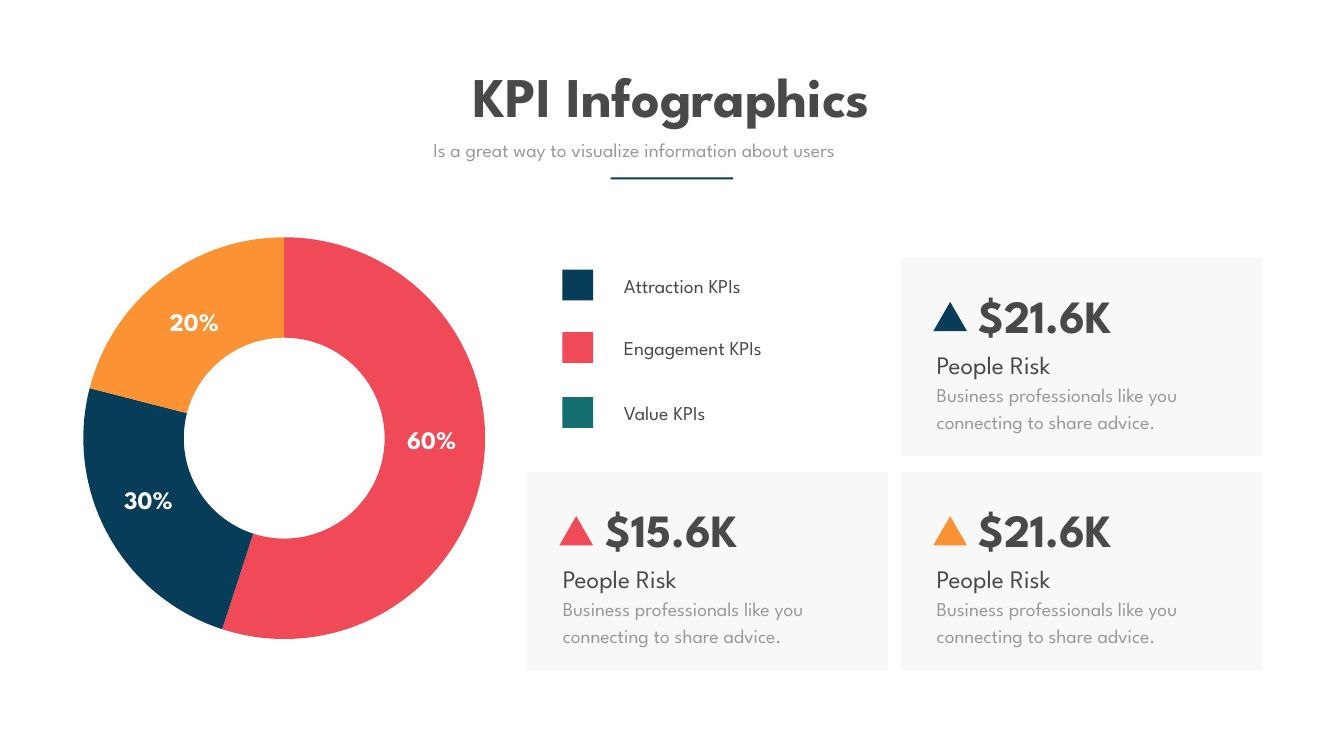
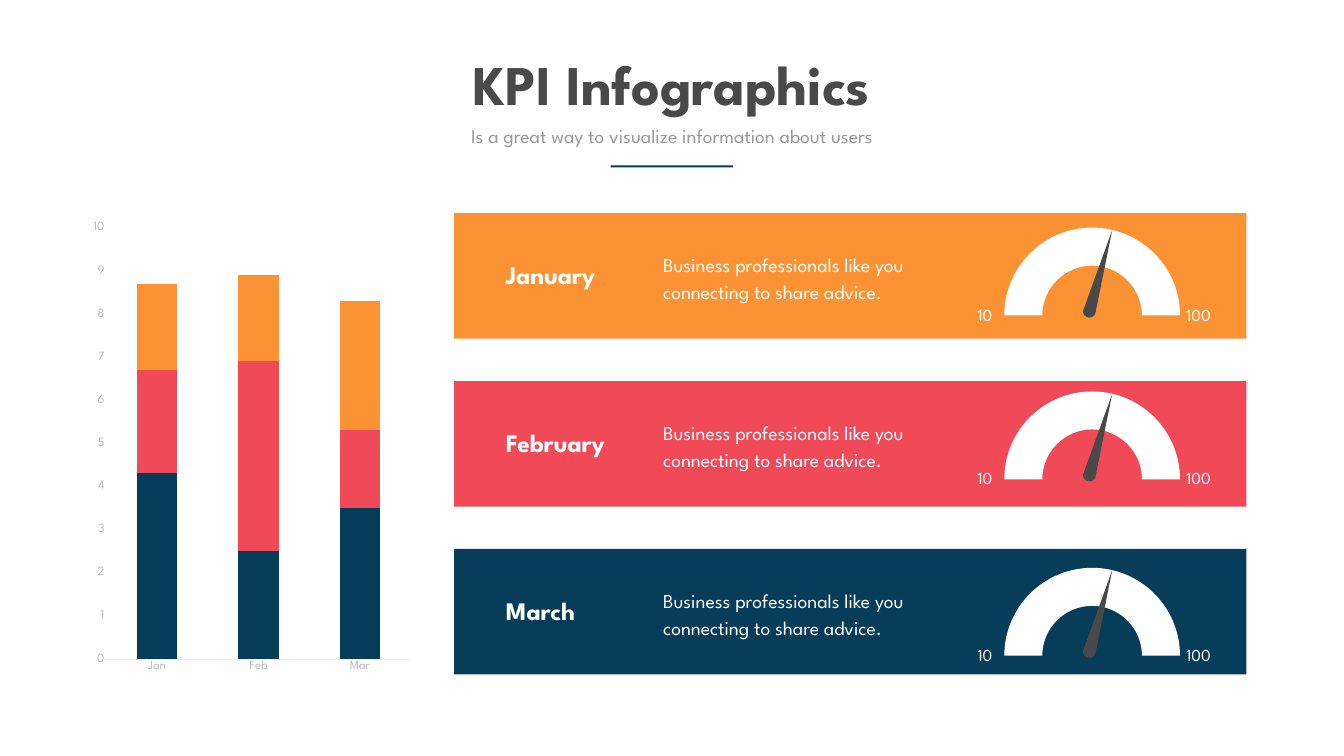
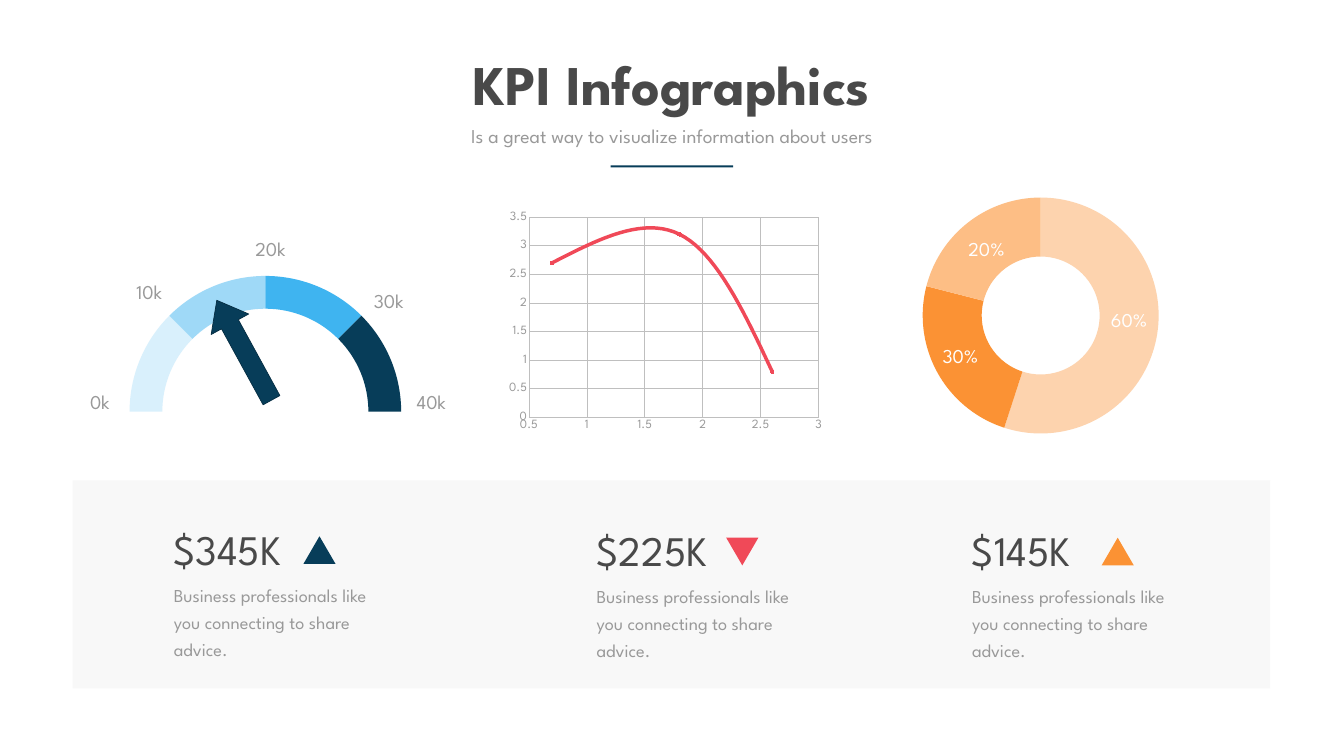
from dataclasses import dataclass
from itertools import chain
from math import ceil, cos, radians, sin, tan
from typing import NamedTuple, Optional

from lxml.etree import SubElement
from pptx import Presentation
from pptx.chart.data import CategoryChartData, XyChartData
from pptx.dml.color import RGBColor
from pptx.enum.chart import XL_CHART_TYPE as Chart, XL_MARKER_STYLE as Marker, XL_TICK_MARK as Tick
from pptx.enum.shapes import MSO_SHAPE as Shape
from pptx.enum.text import MSO_AUTO_SIZE as AutoSize, PP_ALIGN as Align
from pptx.oxml import parse_xml
from pptx.oxml.ns import nsdecls, qn
from pptx.util import Pt

FONT = "League Spartan"
NAVY, RED, ORANGE, TEAL = "073D59", "F04958", "FB9234", "156E70"
DARK, GREY, PALE, WHITE = "494949", "999999", "F2F2F2", "FFFFFF"
AXIS_GREY, GRID_GREY = "BDBDBD", "BFBFBF"
LEADING = 38.6
ADVICE = "Business professionals like you connecting to share advice."
Curve = list[tuple[float, float]]


class Box(NamedTuple):
    x: float
    y: float
    w: float
    h: float


class Style(NamedTuple):
    size: float
    color: str
    bold: bool = False
    align: Align = Align.LEFT
    leading: Optional[float] = None


TITLE = Style(80, DARK, True, Align.CENTER)
SUBTITLE = Style(28, GREY, align=Align.CENTER)
LEGEND = Style(28, DARK, leading=LEADING)
CARD_VALUE = Style(66, DARK, True, Align.CENTER)
CARD_NAME = Style(36, DARK, leading=LEADING)
CARD_BODY = Style(28, GREY, leading=LEADING)
BOLD_SHARE = Style(36, WHITE, True, Align.CENTER)
SHARE = Style(28, WHITE, align=Align.CENTER)
MONTH = Style(36, WHITE, True)
BAND_BODY = Style(28, WHITE, leading=LEADING)
GAUGE_MIN = Style(24, WHITE, align=Align.RIGHT, leading=40.8)
GAUGE_MAX = Style(24, WHITE, leading=40.8)
DIAL_LABEL = Style(28, GREY)
STAT_VALUE = Style(60, DARK)
STAT_BODY = Style(26, GREY, leading=LEADING)


@dataclass
class Card:
    x: float
    y: float
    value: str
    color: str


@dataclass
class Band:
    month: str
    color: str
    gauge_top: float


@dataclass
class Stat:
    x: float
    y: float
    value: str
    color: str
    turn: float = 0


def rgb(color: str) -> RGBColor:
    return RGBColor.from_string(color)


def paint(item, color: str) -> None:
    item.fill.solid()
    item.fill.fore_color.rgb = rgb(color)


def finish(shape, color: str):
    shape.shadow.inherit = False
    paint(shape, color)
    shape.line.fill.background()
    return shape


def add_block(slide, box: Box, color: str, preset=Shape.RECTANGLE):
    return finish(slide.shapes.add_shape(preset, *map(Pt, box)), color)


def add_panel(slide, box: Box) -> None:
    panel = add_block(slide, box, PALE)
    tint = next(panel.element.iter(qn("a:srgbClr")))
    SubElement(tint, qn("a:alpha")).set("val", "50000")


def add_text(slide, box: Box, *lines: tuple[str, Style], wrap: bool = True) -> None:
    frame = slide.shapes.add_textbox(*map(Pt, box)).text_frame
    frame.word_wrap = wrap
    frame.auto_size = AutoSize.SHAPE_TO_FIT_TEXT
    for index, (words, style) in enumerate(lines):
        paragraph = frame.add_paragraph() if index else frame.paragraphs[0]
        paragraph.alignment = style.align
        if style.leading:
            paragraph.line_spacing = Pt(style.leading)
        run = paragraph.add_run()
        run.text = words
        run.font.name = FONT
        run.font.size = Pt(style.size)
        run.font.bold = style.bold
        run.font.color.rgb = rgb(style.color)


def arc(cx: float, cy: float, radius: float, start: float, end: float) -> Curve:
    pieces = ceil(abs(end - start) / 90)
    step = radians(end - start) / pieces
    pull = 4 / 3 * tan(step / 4)

    def at(angle: float, lean: float) -> tuple[float, float]:
        return (cx + radius * (cos(angle) - lean * sin(angle)),
                cy + radius * (sin(angle) + lean * cos(angle)))

    curve = [at(radians(start), 0)]
    for piece in range(pieces):
        begin = radians(start) + piece * step
        curve += [at(begin, pull), at(begin + step, -pull), at(begin + step, 0)]
    return curve


def add_outline(slide, curves: list[Curve], color: str) -> None:
    first, *rest = [(Pt(x), Pt(y)) for x, y in chain(*curves)]
    builder = slide.shapes.build_freeform(*first)
    builder.add_line_segments(rest, close=True)
    outline = finish(builder.convert_to_shape(), color)
    contour = next(outline.element.iter(qn("a:path")))
    knots = iter(list(contour))
    for curve in curves:
        next(knots)
        for _ in range(len(curve) // 3):
            bend, handle, goal = next(knots), next(knots), next(knots)
            bend.tag = qn("a:cubicBezTo")
            bend.extend([handle[0], goal[0]])
            contour.remove(handle)
            contour.remove(goal)


def add_sector(slide, cx: float, cy: float, outer: float, inner: float,
               start: float, end: float, color: str) -> None:
    add_outline(slide, [arc(cx, cy, outer, start, end), arc(cx, cy, inner, end, start)], color)


def add_chart(slide, kind, box: Box, data, plot_box: Box, size: float, font: str = FONT):
    chart = slide.shapes.add_chart(kind, *map(Pt, box), data).chart
    chart.has_legend = False
    chart.has_title = False
    chart.font.name = font
    chart.font.size = Pt(size)
    chart.font.color.rgb = rgb(GREY)
    plot_area = chart.element.find(qn("c:chart")).find(qn("c:plotArea"))
    for layout in plot_area.findall(qn("c:layout")):
        plot_area.remove(layout)
    places = "".join(f'<c:{key} val="{value:.4f}"/>' for key, value in zip("xywh", plot_box))
    plot_area.insert(0, parse_xml(
        f'<c:layout {nsdecls("c")}><c:manualLayout><c:layoutTarget val="inner"/>'
        f'<c:xMode val="edge"/><c:yMode val="edge"/>{places}</c:manualLayout></c:layout>'))
    return chart


def style_axis(axis, color: str, line: Optional[str], grid: Optional[str] = None) -> None:
    axis.major_tick_mark = axis.minor_tick_mark = Tick.NONE
    font = axis.tick_labels.font
    font.name = FONT
    font.size = Pt(18)
    font.color.rgb = rgb(color)
    axis.has_major_gridlines = grid is not None
    lines = [(axis.format.line, line)]
    if grid:
        lines.append((axis.major_gridlines.format.line, grid))
    for stroke, shade in lines:
        if shade:
            stroke.color.rgb = rgb(shade)
            stroke.width = Pt(0.75)
        else:
            stroke.fill.background()


def set_scale(axis, low: float, high: float, step: float) -> None:
    axis.minimum_scale, axis.maximum_scale, axis.major_unit = low, high, step


def add_donut(slide, box: Box, colors: list[str], labels: list[tuple[str, Box]], style: Style) -> None:
    data = CategoryChartData()
    data.categories = ["1", "2", "3"]
    data.add_series("Series 1", [55, 24, 21])
    ring = box.h - 20
    plot_box = Box((box.w - ring) / 2 / box.w, 10 / box.h, ring / box.w, ring / box.h)
    chart = add_chart(slide, Chart.DOUGHNUT, box, data, plot_box, 10, "Calibri")
    plot = chart.plots[0]
    plot.vary_by_categories = True
    for index, color in enumerate(colors):
        look = plot.series[0].points[index].format
        paint(look, color)
        look.line.fill.background()
    for share, place in labels:
        add_text(slide, place, (share, style))


def add_header(slide, title_y: float, subtitle: tuple[float, float], rule_y: float) -> None:
    add_text(slide, Box(638.8, title_y, 641.5, 104.4), ("KPI Infographics", TITLE), wrap=False)
    add_text(slide, Box(*subtitle, 688.3, 41),
             ("Is a great way to visualize information about users", SUBTITLE))
    add_block(slide, Box(872.5, rule_y, 175, 2.9), NAVY)


def add_card(slide, card: Card) -> None:
    x, y = card.x, card.y
    add_panel(slide, Box(x, y, 517, 283.7))
    add_text(slide, Box(x + 95.4, y + 38.5, 224, 87), (card.value, CARD_VALUE), wrap=False)
    add_block(slide, Box(x + 46.8, y + 63.4, 48.2, 41.8), card.color, Shape.ISOSCELES_TRIANGLE)
    add_text(slide, Box(x + 44.6, y + 132, 429, 121.7),
             ("People Risk", CARD_NAME), (ADVICE, CARD_BODY))


def add_gauge(slide, top: float) -> None:
    cx, base = 1560.2, top + 125.3
    add_sector(slide, cx, base, 125.5, 71.2, 180, 360, WHITE)
    add_outline(slide, [[(1589, top + 2.9)], arc(1556.3, top + 119.1, 9.2, 0, 180)], DARK)
    add_text(slide, Box(1378.8, top + 93.8, 46, 44), ("10", GAUGE_MIN))
    add_text(slide, Box(1687.7, top + 93.8, 59, 44), ("100", GAUGE_MAX))


def add_band(slide, y: float, band: Band) -> None:
    add_block(slide, Box(648.7, y, 1131.8, 179.3), band.color)
    add_text(slide, Box(715.7, y + 63, 191.5, 51), (band.month, MONTH))
    add_text(slide, Box(940.3, y + 48.4, 438.5, 82.8), (ADVICE, BAND_BODY))


def add_stat(slide, stat: Stat) -> None:
    x, y = stat.x, stat.y
    add_text(slide, Box(x, y, 275.8, 80), (stat.value, STAT_VALUE))
    triangle = add_block(slide, Box(x + 192.2, y + 22.3, 46, 39.6), stat.color,
                         Shape.ISOSCELES_TRIANGLE)
    triangle.rotation = stat.turn
    add_text(slide, Box(x, y + 79.7, 294.5, 121.7), (ADVICE, STAT_BODY))


def add_dial(slide) -> None:
    for index, color in enumerate(["D9F0FC", "9FD9F7", "3FB4F0", NAVY]):
        start = 180 + 45 * index
        add_sector(slide, 379.1, 588.2, 194, 147.2, start, start + 45, color)
    arrow = add_block(slide, Box(318.2, 419, 61.2, 162.7), NAVY, Shape.UP_ARROW)
    arrow.adjustments[0], arrow.adjustments[1] = 0.447, 0.638
    arrow.rotation = 331.3
    arrow.line.color.rgb = rgb("052D42")
    arrow.line.width = Pt(1)
    marks = [("10k", 187.9, 396.7), ("20k", 341.3, 334.8), ("30k", 527, 409),
             ("40k", 588.2, 553), ("0k", 121.7, 553)]
    for mark, x, y in marks:
        add_text(slide, Box(x, y, 90, 41), (mark, SUBTITLE if mark == "20k" else DIAL_LABEL))


def add_month_chart(slide) -> None:
    data = CategoryChartData()
    data.categories = ["Jan", "Feb", "Mar"]
    rows = [([4.3, 2.5, 3.5], NAVY), ([2.4, 4.4, 1.8], RED), ([2, 2, 3], ORANGE)]
    for number, (values, _) in enumerate(rows, 1):
        data.add_series(f"Series {number}", values)
    chart = add_chart(slide, Chart.COLUMN_STACKED, Box(123.8, 304.6, 472.3, 669.6), data,
                      Box(0.06, 0.031, 0.92, 0.92), 28)
    plot = chart.plots[0]
    plot.vary_by_categories = False
    plot.gap_width, plot.overlap = 150, 100
    for series, (_, color) in zip(plot.series, rows):
        paint(series.format, color)
    style_axis(chart.category_axis, AXIS_GREY, "F0F0F0")
    style_axis(chart.value_axis, AXIS_GREY, None)
    set_scale(chart.value_axis, 0, 10, 1)


def add_curve_chart(slide) -> None:
    data = XyChartData()
    trend = data.add_series("Series 1")
    for x, y in [(0.7, 2.7), (1.8, 3.2), (2.6, 0.8)]:
        trend.add_data_point(x, y)
    chart = add_chart(slide, Chart.XY_SCATTER_SMOOTH, Box(727.2, 294.5, 463, 341.3), data,
                      Box(0.061, 0.046, 0.894, 0.838), 18)
    plot = chart.plots[0]
    plot.vary_by_categories = False
    series = plot.series[0]
    for smooth in chart.element.iter(qn("c:smooth")):
        smooth.set("val", "1")
    series.format.line.color.rgb = rgb(RED)
    series.format.line.width = Pt(5)
    series.marker.style = Marker.CIRCLE
    series.marker.size = 5
    paint(series.marker.format, NAVY)
    series.marker.format.line.color.rgb = rgb(RED)
    for axis, low, high in [(chart.category_axis, 0.5, 3), (chart.value_axis, 0, 3.5)]:
        style_axis(axis, GREY, GRID_GREY, GRID_GREY)
        axis.tick_labels.number_format = "General"
        axis.tick_labels.number_format_is_linked = False
        set_scale(axis, low, high, 0.5)


def build_summary(slide) -> None:
    legend = [("Attraction KPIs", NAVY, 385.2), ("Engagement KPIs", RED, 474.6),
              ("Value KPIs", TEAL, 567.4)]
    for _, color, y in legend:
        add_block(slide, Box(803.3, y, 44, 44), color)
    for name, _, y in legend:
        add_text(slide, Box(884.2, y - 3, 339, 43), (name, LEGEND))
    add_header(slide, 84.2, (561.6, 193), 253.4)
    add_donut(slide, Box(-39.6, 329, 891.4, 594), [RED, NAVY, ORANGE],
              [("60%", Box(539.3, 601.9, 154.8, 51)), ("30%", Box(92.9, 687.6, 238.3, 41.8)),
               ("20%", Box(158.4, 433.4, 238.3, 41.8))], BOLD_SHARE)
    for card in [Card(752.3, 673.9, "$15.6K", RED), Card(1286.5, 673.9, "$21.6K", ORANGE),
                 Card(1286.5, 367.9, "$21.6K", NAVY)]:
        add_card(slide, card)


def build_months(slide) -> None:
    add_header(slide, 67.7, (615.6, 174.2), 236.2)
    add_month_chart(slide)
    bands = [Band("January", ORANGE, 325.4), Band("February", RED, 559.4),
             Band("March", NAVY, 811.4)]
    for index, band in enumerate(bands):
        add_band(slide, 304.6 + 239.8 * index, band)
    for band in bands:
        add_gauge(slide, band.gauge_top)


def build_trends(slide) -> None:
    add_header(slide, 67.7, (615.6, 174.2), 236.2)
    add_dial(slide)
    add_panel(slide, Box(103.7, 686.2, 1710.7, 297.4))
    for stat in [Stat(241.2, 743.8, "$345K", NAVY), Stat(845.2, 745.8, "$225K", RED, 180),
                 Stat(1381.5, 745.8, "$145K", ORANGE)]:
        add_stat(slide, stat)
    add_curve_chart(slide)
    add_donut(slide, Box(1218.8, 272.2, 535.7, 357.1), ["FDD3AE", ORANGE, "FDBE85"],
              [("60%", Box(1566.5, 436.3, 92.9, 41)), ("30%", Box(1300.3, 487.4, 143.3, 41)),
               ("20%", Box(1337.6, 334.8, 143.3, 41))], SHARE)


def main() -> None:
    deck = Presentation()
    deck.slide_width, deck.slide_height = Pt(1920), Pt(1080)
    for build in (build_summary, build_months, build_trends):
        slide = deck.slides.add_slide(deck.slide_layouts[6])
        paint(slide.background, WHITE)
        build(slide)
    deck.save("out.pptx")


if __name__ == "__main__":
    main()
